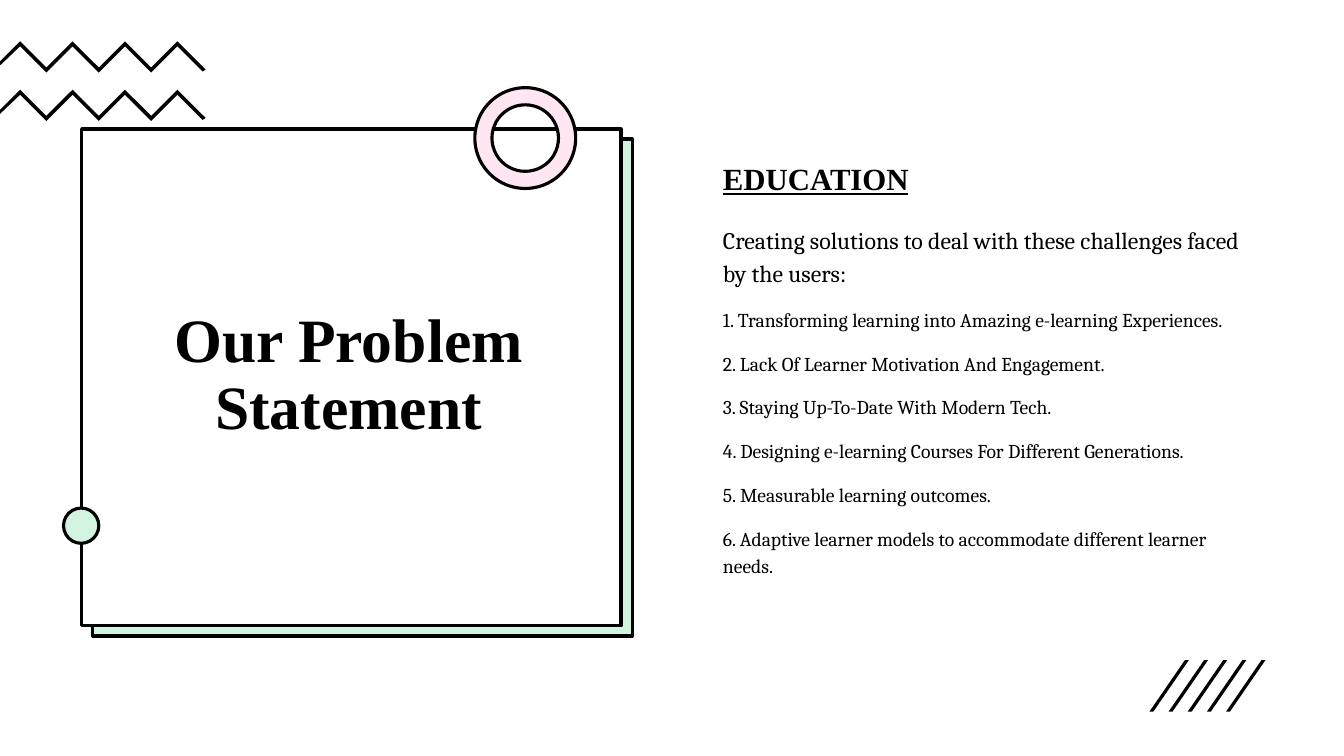
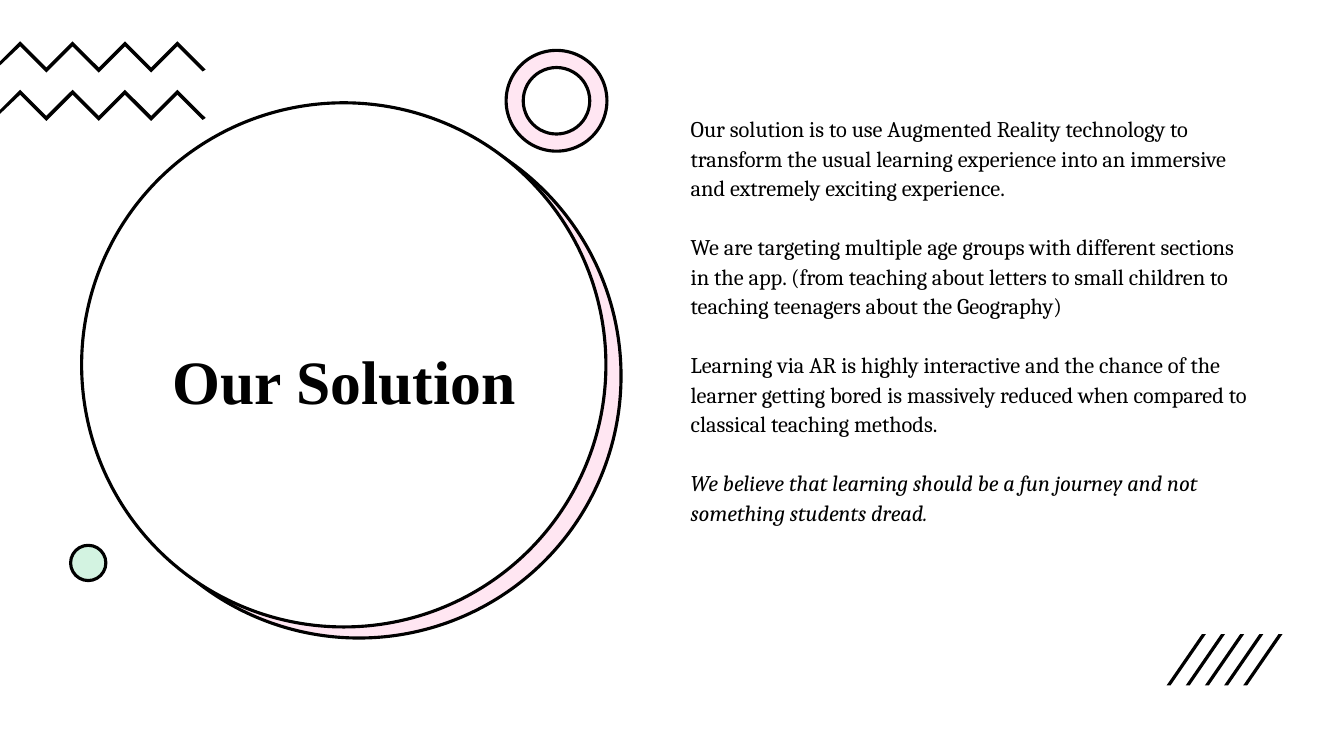
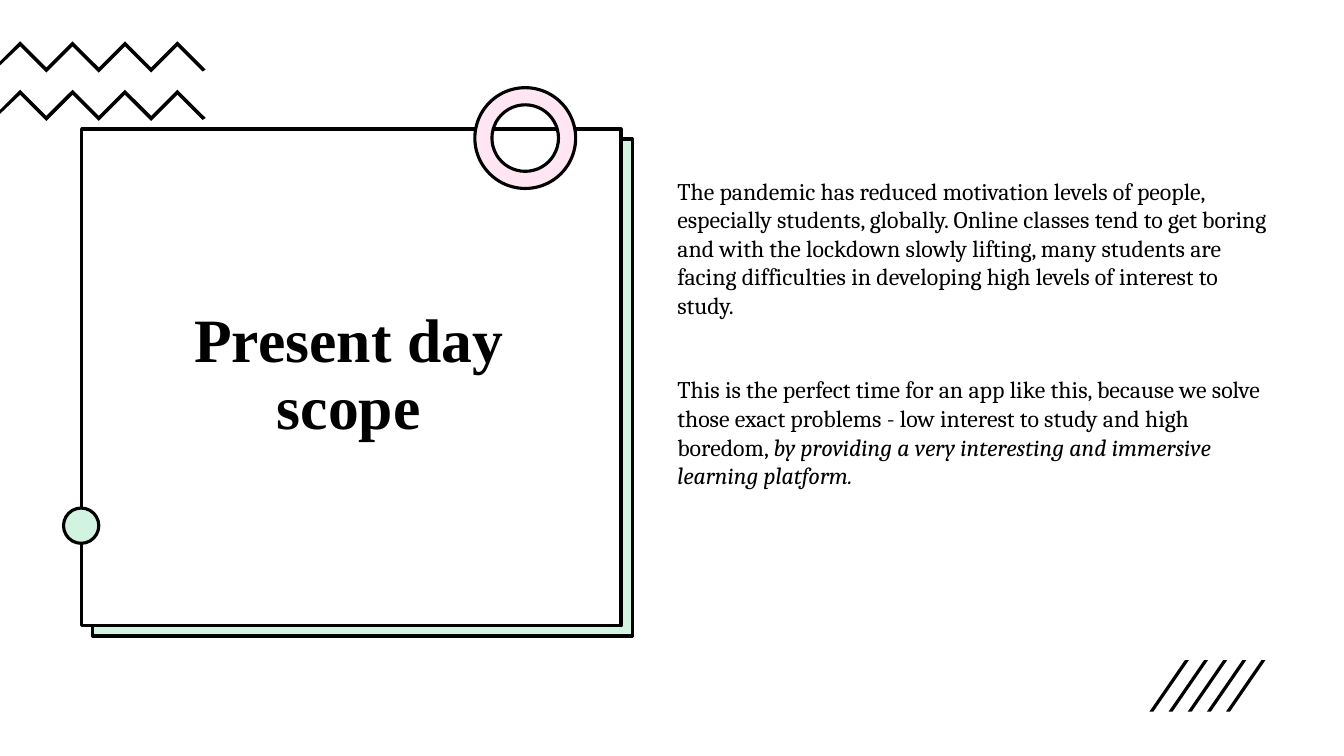
from dataclasses import dataclass

from pptx import Presentation
from pptx.dml.color import RGBColor
from pptx.enum import shapes, text
from pptx.util import Inches, Pt

BLACK = RGBColor(0x00, 0x00, 0x00)
WHITE = RGBColor(0xFF, 0xFF, 0xFF)
MINT = RGBColor(0xD3, 0xF3, 0xE1)
PINK = RGBColor(0xFF, 0xE6, 0xF2)
SERIF = "Times New Roman"
BODY = "Cambria"
SHAPE = shapes.MSO_SHAPE


@dataclass(frozen=True)
class Box:
    left: float
    top: float
    width: float
    height: float

    def emu(self) -> list[int]:
        return [Inches(v) for v in (self.left, self.top, self.width, self.height)]


@dataclass(frozen=True)
class Run:
    text: str
    italic: bool = False


@dataclass(frozen=True)
class Para:
    runs: tuple[Run, ...]
    size: int
    before: int = 0
    spacing: float = 1.0
    font: str = BODY
    bold: bool = False
    underline: bool = False
    align: text.PP_ALIGN = text.PP_ALIGN.LEFT


@dataclass(frozen=True)
class Panel:
    shape: shapes.MSO_SHAPE
    front: Box
    back: Box
    tint: RGBColor
    title: Box
    ring: tuple[float, float]
    dot: tuple[float, float]
    stripes: tuple[float, float]


@dataclass(frozen=True)
class Page:
    panel: Panel
    title: str
    body: Box
    indent: float
    paras: tuple[Para, ...]


SQUARE = Panel(SHAPE.RECTANGLE, Box(0.81, 1.28, 5.35, 4.93), Box(0.92, 1.38, 5.35, 4.93), MINT,
               Box(1.21, 1.38, 4.5, 4.7), (4.71, 0.87), (0.63, 5.04), (11.4, 6.55))
CIRCLE = Panel(SHAPE.OVAL, Box(0.81, 1.02, 5.2, 5.2), Box(0.96, 1.13, 5.2, 5.2), PINK,
               Box(1.21, 2.05, 4.41, 3.52), (5.02, 0.5), (0.7, 5.41), (11.57, 6.29))

CHALLENGES = (
    "1. Transforming learning into Amazing e-learning Experiences.",
    "2. Lack Of Learner Motivation And Engagement.",
    "3. Staying Up-To-Date With Modern Tech.",
    "4. Designing e-learning Courses For Different Generations.",
    "5. Measurable learning outcomes.",
    "6. Adaptive learner models to accommodate different learner needs.",
)
SOLUTION = (
    Run("Our solution is to use Augmented Reality technology to transform the usual learning "
        "experience into an immersive and extremely exciting experience."),
    Run("We are targeting multiple age groups with different sections in the app. (from teaching "
        "about letters to small children to teaching teenagers about the Geography)"),
    Run("Learning via AR is highly interactive and the chance of the learner getting bored is "
        "massively reduced when compared to classical teaching methods."),
    Run("We believe that learning should be a fun journey and not something students dread.", True),
)
SCOPE = (
    (Run("The pandemic has reduced motivation levels of people, especially students, globally. "
         "Online classes tend to get boring and with the lockdown slowly lifting, many students "
         "are facing difficulties in developing high levels of interest to study."),),
    (Run("This is the perfect time for an app like this, because we solve those exact problems - "
         "low interest to study and high boredom, "),
     Run("by providing a very interesting and immersive learning platform.", True)),
)

PAGES = (
    Page(SQUARE, "Our Problem Statement", Box(6.82, 1.48, 5.71, 5.08), 0.25, (
        Para((Run("EDUCATION"),), 22, 0, 1.15, SERIF, True, True),
        Para((Run("Creating solutions to deal with these challenges faced by the users:"),),
             17, 18, 1.15),
        *(Para((Run(line),), 14, 12, 1.15) for line in CHALLENGES))),
    Page(CIRCLE, "Our Solution", Box(6.5, 1.07, 6.01, 5.1), 0.25,
         tuple(Para((run,), 16, 21 if i else 0, 1.1) for i, run in enumerate(SOLUTION))),
    Page(SQUARE, "Present day scope", Box(6.62, 1.7, 6.17, 4.71), 0,
         tuple(Para(runs, 17, 40 if i else 0) for i, runs in enumerate(SCOPE))),
)


def paint(sp, fill: RGBColor, outlined: bool = True) -> None:
    sp.shadow.inherit = False
    sp.fill.solid()
    sp.fill.fore_color.rgb = fill
    if outlined:
        sp.line.color.rgb = BLACK
        sp.line.width = Pt(2.25)
    else:
        sp.line.fill.background()


def add_figure(s, kind: shapes.MSO_SHAPE, box: Box, fill: RGBColor, outlined: bool = True):
    sp = s.shapes.add_shape(kind, *box.emu())
    paint(sp, fill, outlined)
    return sp


def add_text(s, box: Box, paras: tuple[Para, ...], indent: float = 0,
             anchor: text.MSO_ANCHOR = text.MSO_ANCHOR.TOP) -> None:
    tf = s.shapes.add_textbox(*box.emu()).text_frame
    tf.word_wrap = True
    tf.vertical_anchor = anchor
    tf.margin_left = Inches(0.1 + indent)
    for i, para in enumerate(paras):
        p = tf.add_paragraph() if i else tf.paragraphs[0]
        p.alignment = para.align
        p.line_spacing = para.spacing
        if para.before:
            p.space_before = Pt(para.before)
        p.font.name = para.font
        p.font.size = Pt(para.size)
        p.font.bold = para.bold
        p.font.underline = para.underline
        p.font.color.rgb = BLACK
        for run in para.runs:
            r = p.add_run()
            r.text = run.text
            if run.italic:
                r.font.italic = True


def add_zigzag(s, top: float) -> None:
    peaks = [(0.2 + 0.26 * i, 0.26 * (i % 2)) for i in range(7)]
    lower = [(x, y + 0.05) for x, y in reversed(peaks)]
    outline = [(0, 0.2), *peaks, (2.04, 0.28), (2.01, 0.3), *lower, (0, 0.24)]
    points = [(Inches(x), Inches(top + y)) for x, y in outline]
    builder = s.shapes.build_freeform(*points[0])
    builder.add_line_segments(points[1:])
    paint(builder.convert_to_shape(), BLACK, outlined=False)


def add_stripes(s, left: float, top: float) -> None:
    for i in range(5):
        box = Box(left + 0.19 * i, top, 0.39, 0.51)
        sp = add_figure(s, SHAPE.PARALLELOGRAM, box, BLACK, outlined=False)
        sp.adjustments[0] = 0.9


def add_panel(s, panel: Panel, title: str) -> None:
    add_figure(s, panel.shape, panel.back, panel.tint)
    add_figure(s, panel.shape, panel.front, WHITE)
    heading = Para((Run(title),), 44, 0, 0.9, SERIF, True, align=text.PP_ALIGN.CENTER)
    add_text(s, panel.title, (heading,), anchor=text.MSO_ANCHOR.MIDDLE)
    ring = add_figure(s, SHAPE.DONUT, Box(*panel.ring, 1, 1), PINK)
    ring.adjustments[0] = 0.17
    add_figure(s, SHAPE.OVAL, Box(*panel.dot, 0.35, 0.35), MINT)


def add_page(prs, page: Page) -> None:
    s = prs.slides.add_slide(prs.slide_layouts[6])
    s.background.fill.solid()
    s.background.fill.fore_color.rgb = WHITE
    for top in (0.41, 0.89):
        add_zigzag(s, top)
    add_panel(s, page.panel, page.title)
    add_text(s, page.body, page.paras, page.indent)
    add_stripes(s, *page.panel.stripes)


def main() -> None:
    prs = Presentation()
    prs.slide_width = Inches(13.33)
    prs.slide_height = Inches(7.5)
    for page in PAGES:
        add_page(prs, page)
    prs.save("out.pptx")


if __name__ == "__main__":
    main()
